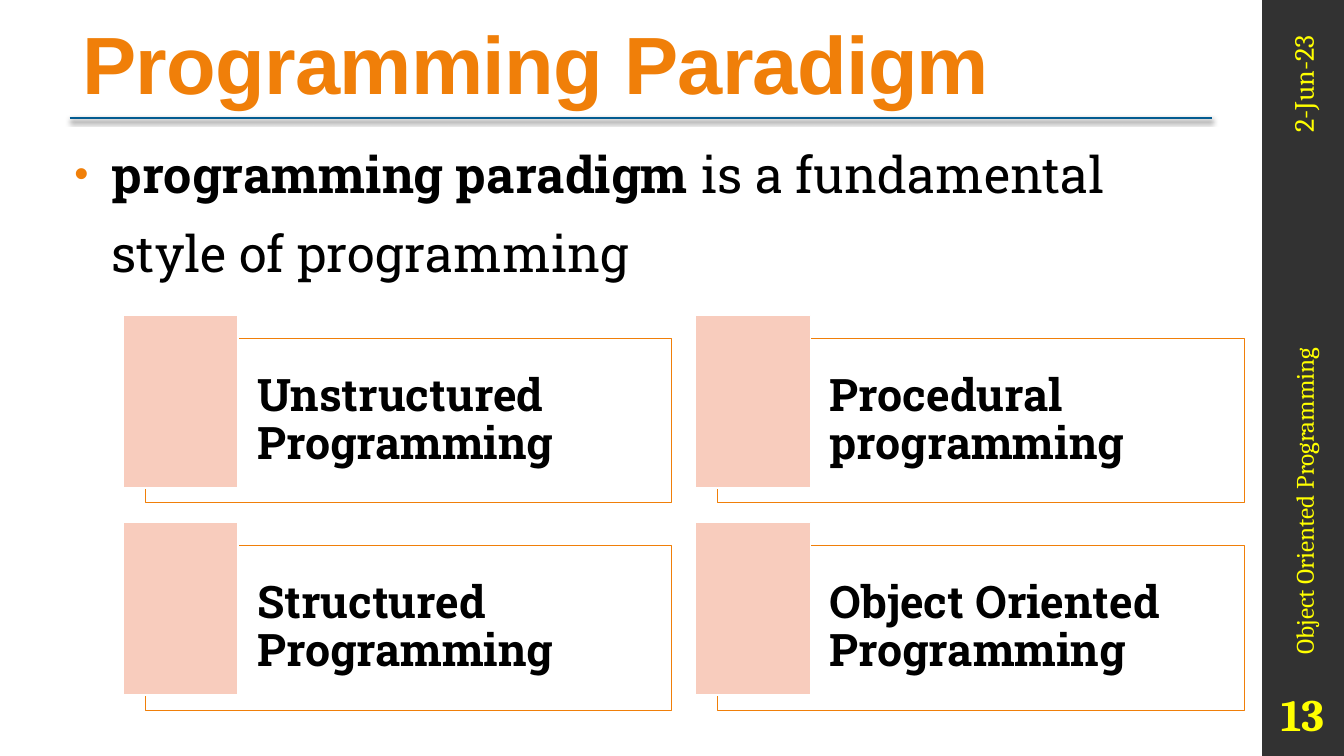
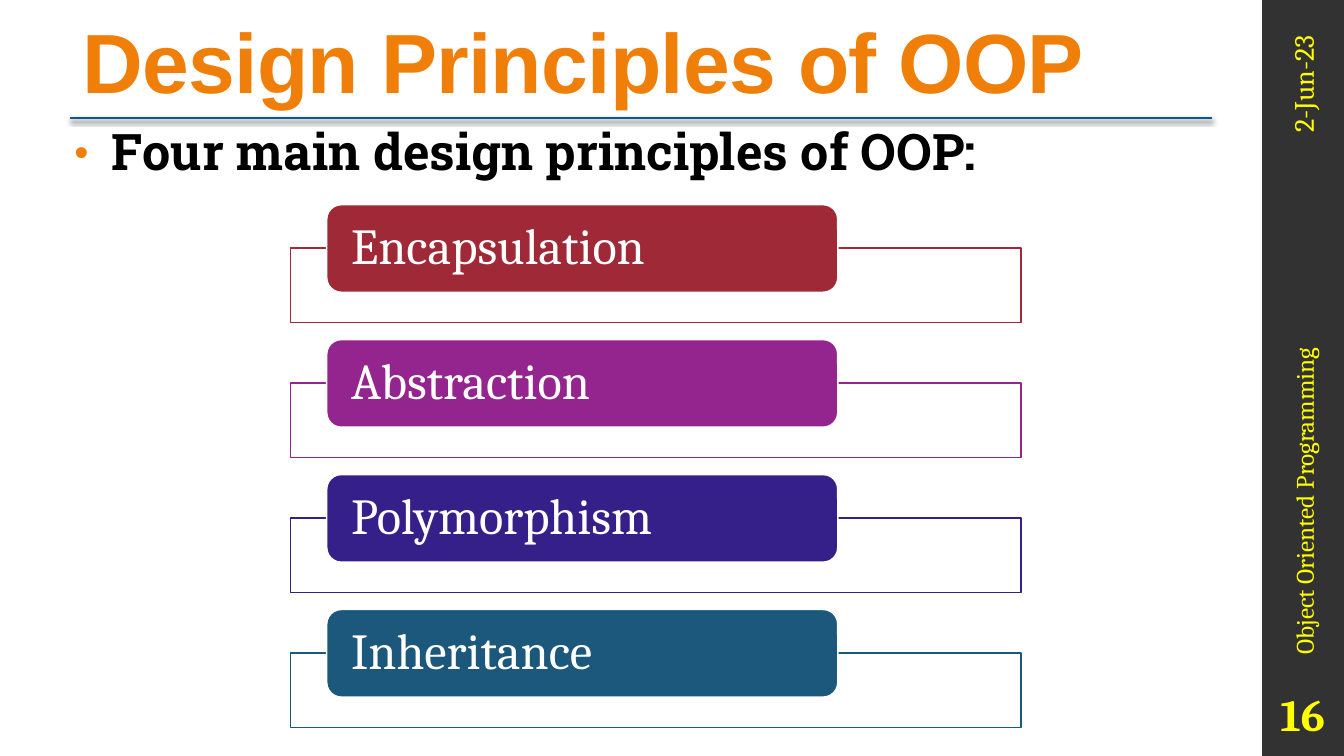
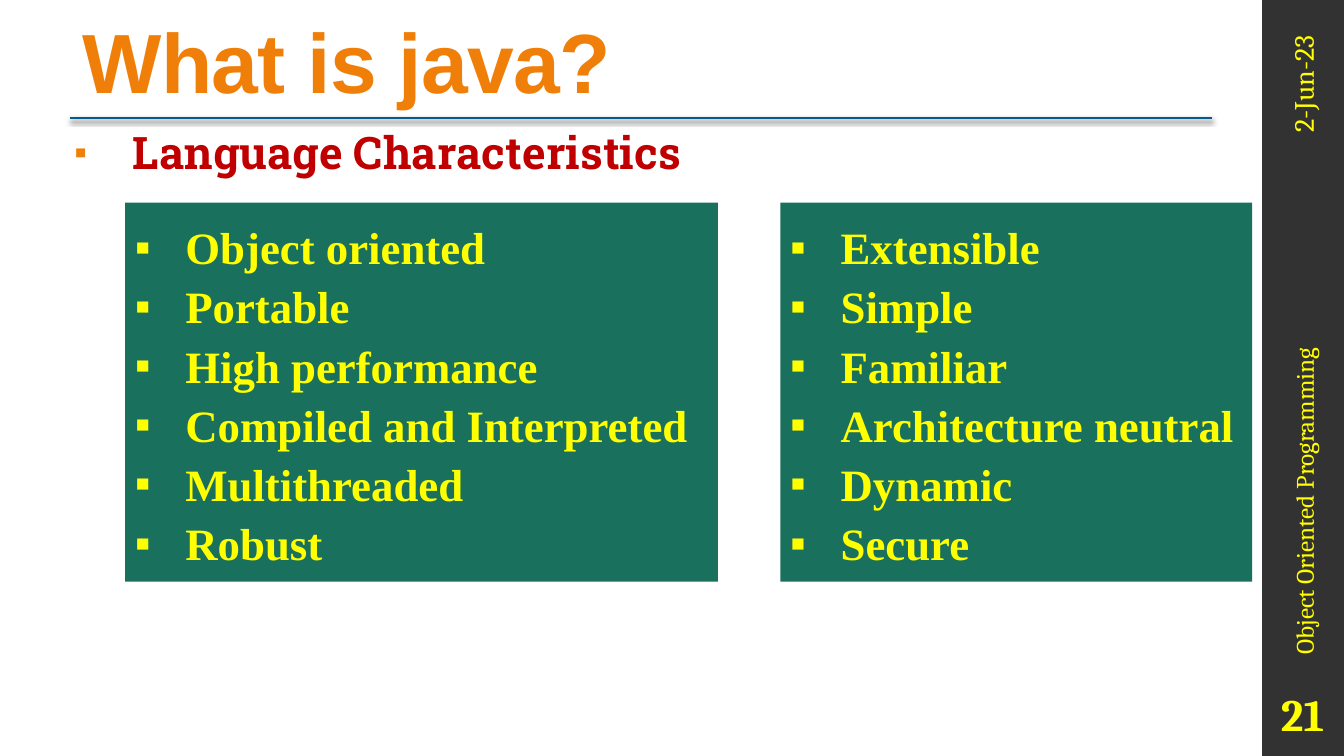
from pptx import Presentation
from pptx.dml.color import RGBColor
from pptx.enum.shapes import MSO_CONNECTOR, MSO_SHAPE as Kind
from pptx.enum.text import MSO_ANCHOR as Anchor, PP_ALIGN as Align
from pptx.oxml import parse_xml
from pptx.oxml.ns import nsdecls, qn
from pptx.util import Inches, Pt
from lxml.etree import SubElement

COLORS = {
    "orange": "F07F09", "charcoal": "323232", "blue": "035C91",
    "yellow": "FFFF00", "black": "000000", "white": "FFFFFF",
    "peach": "F8CCBD", "red": "C00000", "green": "19705D",
    "crimson": "9F2936", "purple": "94248E", "indigo": "351F88", "teal": "1B587C",
}

deck = Presentation()
deck.slide_width, deck.slide_height = Inches(13.33), Inches(7.5)
COL, ROW = deck.slide_width / 100, deck.slide_height / 100


def draw(page, left, top, width, height, kind=None, fill=None, line=None,
         weight=1.1, opacity=100, turn=0):
    area = [int(left * COL), int(top * ROW), int(width * COL), int(height * ROW)]
    if kind is None:
        box = page.shapes.add_textbox(*area)
    else:
        box = page.shapes.add_shape(kind, *area)
        box.shadow.inherit = False
        box.fill.solid()
        box.fill.fore_color.rgb = RGBColor.from_string(COLORS[fill])
        if opacity < 100:
            tint = box.fill._xPr.find(qn("a:solidFill"))[0]
            SubElement(tint, qn("a:alpha")).set("val", str(opacity * 1000))
        if line:
            box.line.color.rgb = RGBColor.from_string(COLORS[line])
            box.line.width = Pt(weight)
        else:
            box.line.fill.background()
    box.rotation = turn
    return box


def write(box, *lines, size, font, color, bold=False, tail="", align=Align.LEFT,
          anchor=Anchor.MIDDLE, insets=(0.1, 0.05, 0.1, 0.05), spacing=1.0,
          tracking=0, bullet=None, indent=0, bullet_color=None, bullet_size=100):
    frame = box.text_frame
    frame.word_wrap = True
    frame.vertical_anchor = anchor
    (frame.margin_left, frame.margin_top,
     frame.margin_right, frame.margin_bottom) = map(Inches, insets)
    for index, line in enumerate(lines):
        para = frame.add_paragraph() if index else frame.paragraphs[0]
        para.alignment = align
        para.line_spacing = spacing
        if bullet:
            props = para._p.get_or_add_pPr()
            props.set("marL", str(Inches(indent)))
            props.set("indent", str(-Inches(indent)))
            hue = SubElement(SubElement(props, qn("a:buClr")), qn("a:srgbClr"))
            hue.set("val", COLORS[bullet_color or color])
            SubElement(props, qn("a:buSzPct")).set("val", str(bullet_size * 1000))
            SubElement(props, qn("a:buFont")).set("typeface", "Arial")
            SubElement(props, qn("a:buChar")).set("char", bullet)
        for text, heavy in ((line, bold), (tail, False)):
            if text:
                span = para.add_run()
                span.text = text
                span.font.size = Pt(size)
                span.font.name = font
                span.font.bold = heavy
                span.font.color.rgb = RGBColor.from_string(COLORS[color])
                if tracking:
                    span._r.get_or_add_rPr().set("spc", str(tracking))


HEADINGS = [("Programming Paradigm", 58, "13"),
            ("Design Principles of OOP", 60, "16"),
            ("What is java?", 60, "21")]
SIDE = {"font": "Cambria", "color": "yellow"}
pages, bodies = [], []
for title, title_size, number in HEADINGS:
    page = deck.slides.add_slide(deck.slide_layouts[6])
    draw(page, 93.9, 0, 6.1, 100, Kind.RECTANGLE, "charcoal")
    rule_y = int(15.6 * ROW)
    rule = page.shapes.add_connector(MSO_CONNECTOR.STRAIGHT, int(5.18 * COL), rule_y,
                                     int(90.17 * COL), rule_y)
    rule.line.color.rgb = RGBColor.from_string(COLORS["blue"])
    rule.line.width = Pt(1.35)
    rule._element.spPr.append(parse_xml(
        f'<a:effectLst {nsdecls("a")}><a:outerShdw blurRad="{Pt(4)}" dist="{Pt(1.2)}" '
        'dir="5400000"><a:srgbClr val="000000"><a:alpha val="75000"/></a:srgbClr>'
        '</a:outerShdw></a:effectLst>'))
    write(draw(page, 5.4, 3.2, 84.85, 12.27), title, size=title_size, font="Arial",
          color="orange", bold=True, anchor=Anchor.BOTTOM, spacing=0.9, tracking=-50,
          insets=(0.1, 0.03, 0.1, 0.05))
    bodies.append(draw(page, 4.8, 15.87, 85.45, 82.8))
    write(draw(page, 89.12, 14.53, 15.6, 5.33, turn=270), "2-Jun-23", size=20,
          align=Align.RIGHT, **SIDE)
    write(draw(page, 93.17, 90, 7.5, 8.67), number, size=32, bold=True,
          align=Align.CENTER, insets=[0.05] * 4, **SIDE)
    write(draw(page, 82.3, 59.07, 29.41, 5.33, turn=270),
          "Object Oriented Programming", size=18, **SIDE)
    pages.append(page)

paradigm_page, principles_page, java_page = pages
paradigm_body, principles_body, java_body = bodies
BODY = {"font": "Roboto Slab", "bold": True, "anchor": Anchor.TOP, "tracking": 10,
        "bullet_color": "orange", "bullet_size": 80}

write(paradigm_body, "programming paradigm", tail=" is a fundamental style of programming",
      size=36, color="black", spacing=1.3, bullet="•", indent=0.37, **BODY)
PARADIGMS = ["Unstructured Programming", "Procedural programming",
             "Structured Programming", "Object Oriented Programming"]
for index, paradigm in enumerate(PARADIGMS):
    row, column = divmod(index, 2)
    left, top = 9.15 + 42.61 * column, 41.73 + 27.4 * row
    card = draw(paradigm_page, left + 1.65, top + 3.07, 39.16, 21.73, Kind.RECTANGLE,
                "white", "orange", weight=0.75, opacity=40)
    write(card, paradigm, size=32, font="Roboto Slab", color="black", bold=True,
          spacing=0.9, insets=(1.11, 0.13, 0.13, 0.13))
    draw(paradigm_page, left, top, 8.55, 22.8, Kind.RECTANGLE, "peach", "white")

write(principles_body, "Four main design principles of OOP:", size=36, color="black",
      spacing=0.95, bullet="•", indent=0.37, **BODY)
PRINCIPLES = [("Encapsulation", "crimson"), ("Abstraction", "purple"),
              ("Polymorphism", "indigo"), ("Inheritance", "teal")]
for index, (principle, color) in enumerate(PRINCIPLES):
    top = 27.07 + 17.85 * index
    draw(principles_page, 21.6, top + 5.73, 54.39, 9.87, Kind.RECTANGLE, "white", color,
         opacity=90)
    label = draw(principles_page, 24.31, top, 38.03, 11.6, Kind.ROUNDED_RECTANGLE,
                 color, "white")
    write(label, principle, size=36, font="Cambria", color="white", spacing=0.9,
          insets=(0.2, 0, 0.2, 0))

write(java_body, "Language Characteristics", size=32, color="red", bullet="▪",
      indent=0.58, **BODY)
TRAITS = [
    (9.3, 44.11, ["Object oriented", "Portable", "High performance",
                  "Compiled and Interpreted", "Multithreaded", "Robust"]),
    (58.06, 35.11, ["Extensible", "Simple", "Familiar", "Architecture neutral",
                    "Dynamic", "Secure"]),
]
for left, width, traits in TRAITS:
    panel = draw(java_page, left, 26.8, width, 50.13, Kind.RECTANGLE, "green")
    write(panel, *traits, size=32, font="Times New Roman", color="yellow", bold=True,
          spacing=1.1, bullet="▪", indent=0.5)

deck.save("out.pptx")
